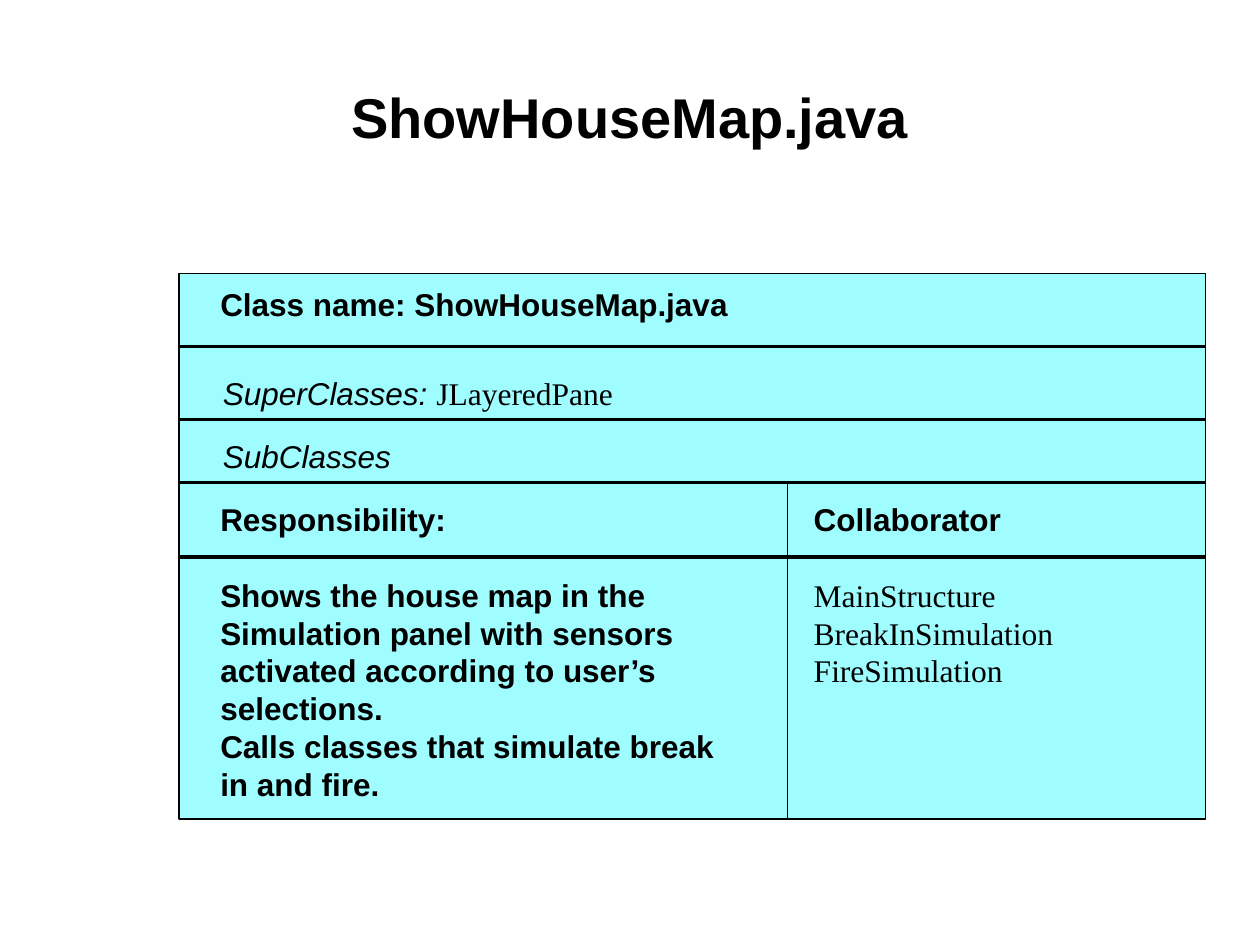
import pptx
import pptx.util
import pptx.dml.color
import pptx.enum.shapes
import pptx.enum.text
import pptx.oxml.ns
import lxml.etree

Inches, Pt = pptx.util.Inches, pptx.util.Pt
COLORS = {"card": "9FFDFF", "ink": "000000"}
SANS, SERIF = "Arial", "Times New Roman"
LINE = Pt(21.6)


def color(name):
    return pptx.dml.color.RGBColor.from_string(COLORS[name])


def style(font, face=SANS, size=18, bold=False, slant=False):
    font.name, font.size = face, Pt(size)
    font.bold, font.italic = bold, slant
    font.color.rgb = color("ink")


def add_rule(slide, start, end, weight):
    rule = slide.shapes.add_connector(
        pptx.enum.shapes.MSO_CONNECTOR.STRAIGHT,
        *(Inches(v) for v in start + end))
    rule.line.color.rgb = color("ink")
    rule.line.width = Pt(weight)
    props = rule._element.spPr
    lxml.etree.SubElement(props, pptx.oxml.ns.qn("a:effectLst"))


def add_text(slide, box, paras, wrap=True):
    """Each paragraph is (runs, gap); each run is (text, font options)."""
    frame = slide.shapes.add_textbox(*(Inches(v) for v in box)).text_frame
    frame.word_wrap = wrap
    frame.auto_size = pptx.enum.text.MSO_AUTO_SIZE.SHAPE_TO_FIT_TEXT
    for i, (runs, gap) in enumerate(paras):
        para = frame.add_paragraph() if i else frame.paragraphs[0]
        para.line_spacing, para.space_before = LINE, gap
        style(para.font, **runs[0][1])
        for text, opts in runs:
            run = para.add_run()
            run.text = text
            if opts != runs[0][1]:
                style(run.font, **opts)


def add_list(slide, box, head, items, opts, wrap=True):
    """A bold heading, a line of space, then the items."""
    paras = [([(head, {"bold": True})], 0)]
    paras += [([(item, opts)], 0 if i else LINE)
              for i, item in enumerate(items)]
    add_text(slide, box, paras, wrap)


def add_title(slide, box, text):
    title = slide.shapes.title
    title.left, title.top, title.width, title.height = map(Inches, box)
    frame = title.text_frame
    frame.text = text
    frame.vertical_anchor = pptx.enum.text.MSO_ANCHOR.MIDDLE
    para = frame.paragraphs[0]
    para.alignment = pptx.enum.text.PP_ALIGN.CENTER
    style(para.font, size=32, bold=True)


def add_card(slide, box):
    left, top, width, height = box
    right, base = left + width, top + height
    split = left + 4.83

    # Background
    back = slide.shapes.add_shape(
        pptx.enum.shapes.MSO_SHAPE.RECTANGLE, *(Inches(v) for v in box))
    back.shadow.inherit = False
    back.fill.solid()
    back.fill.fore_color.rgb = color("card")
    back.line.color.rgb = color("ink")
    back.line.width = Pt(0.75)

    # Row rules and column rule
    for drop, weight in ((0.58, 2.25), (1.16, 1.5), (1.66, 1.5), (2.25, 2.25)):
        add_rule(slide, (left, top + drop), (right, top + drop), weight)
    add_rule(slide, (split, top + 1.66), (split, base), 0.75)

    # Class rows
    slant = {"slant": True}
    rows = (
        (0.23, 0.04, [("Class name: ShowHouseMap.java", {"bold": True})]),
        (0.25, 0.75, [("SuperClasses: ", slant),
                      ("JLayeredPane", {"face": SERIF})]),
        (0.25, 1.25, [("SubClasses", slant)]),
    )
    for inset, drop, runs in rows:
        add_text(slide, (left + inset, top + drop, 6.6, 0.4), [(runs, 0)])

    # Responsibility and collaborator columns
    add_list(slide, (left + 0.23, top + 1.75, 4.33, 2.52), "Responsibility:",
             ("Shows the house map in the Simulation panel with sensors "
              "activated according to user’s selections.",
              "Calls classes that simulate break in and fire."),
             {"bold": True})
    add_list(slide, (split + 0.11, top + 1.75, 2.12, 1.62), "Collaborator",
             ("MainStructure", "BreakInSimulation", "FireSimulation"),
             {"face": SERIF}, wrap=False)


def main():
    deck = pptx.Presentation()
    deck.slide_width, deck.slide_height = Inches(10), Inches(7.5)
    slide = deck.slides.add_slide(deck.slide_layouts[5])
    add_card(slide, (1.42, 2.17, 8.15, 4.33))
    add_title(slide, (0.5, 0.3, 9, 1.25), "ShowHouseMap.java")
    deck.save("out.pptx")


if __name__ == "__main__":
    main()
